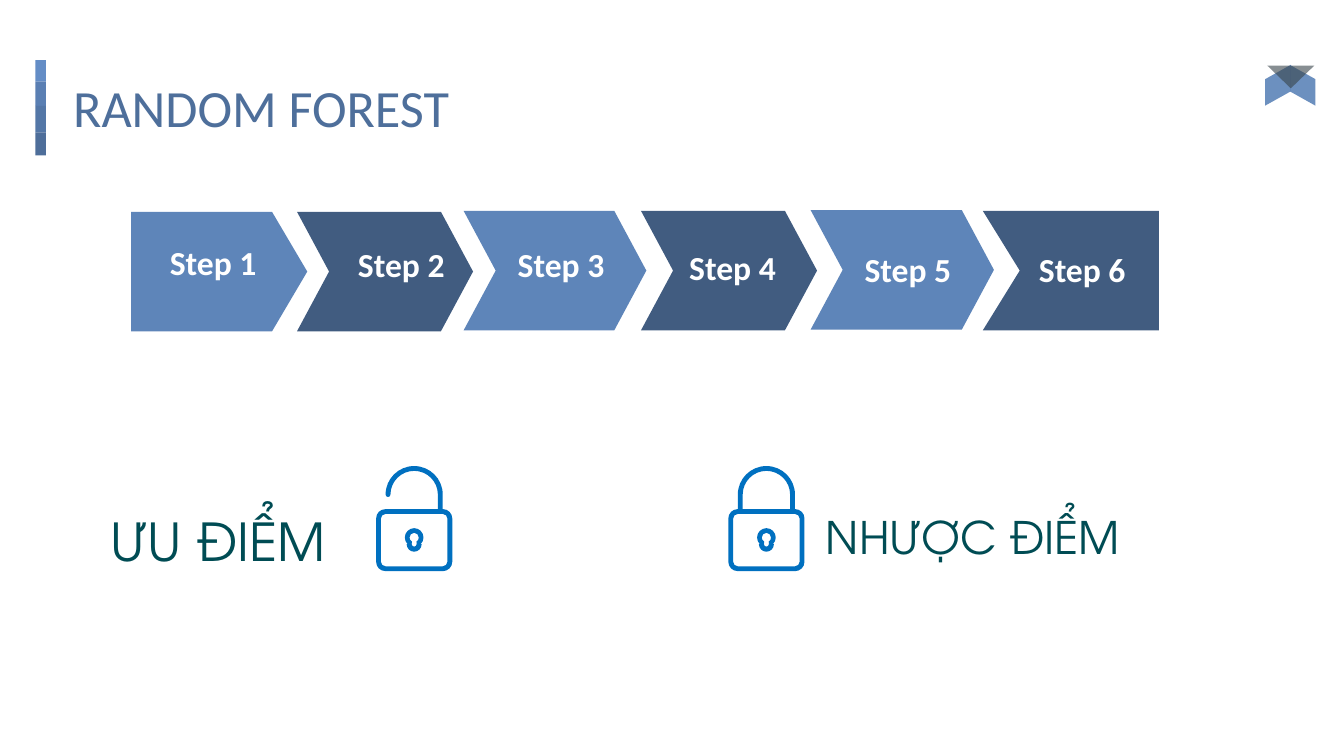
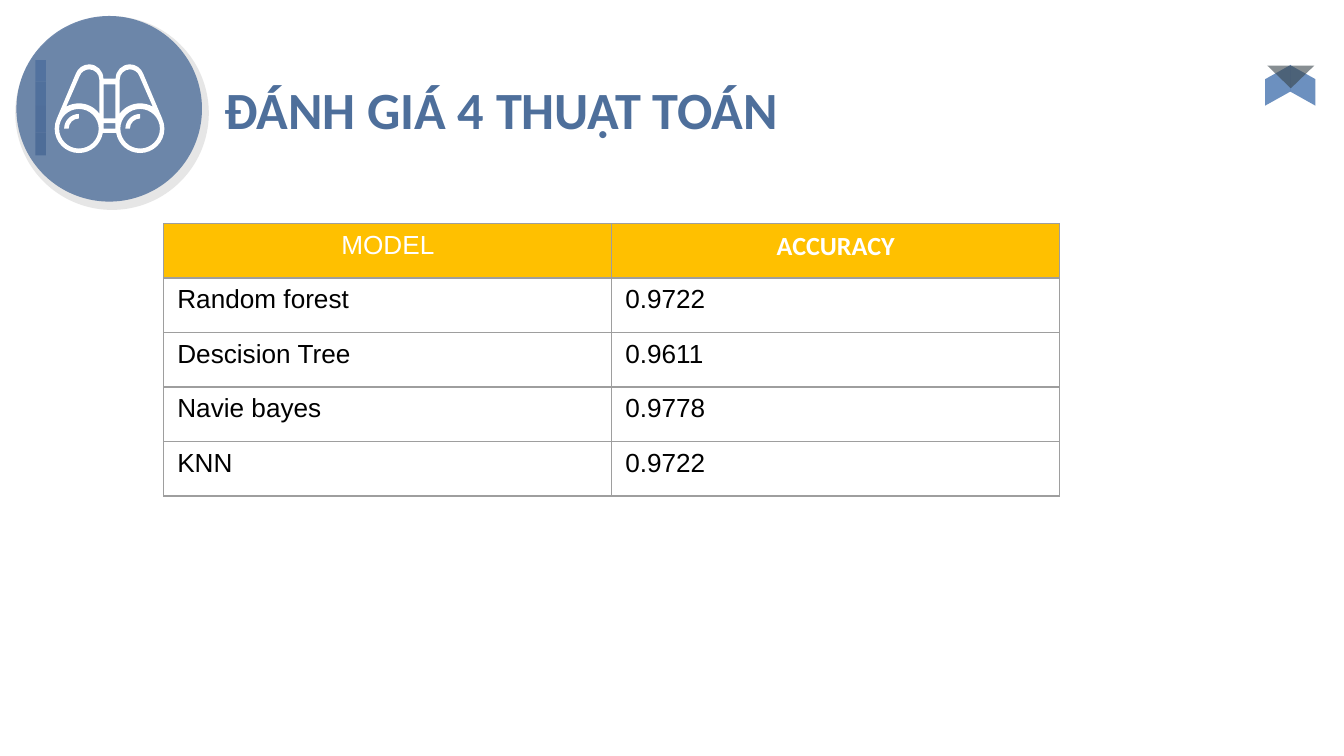
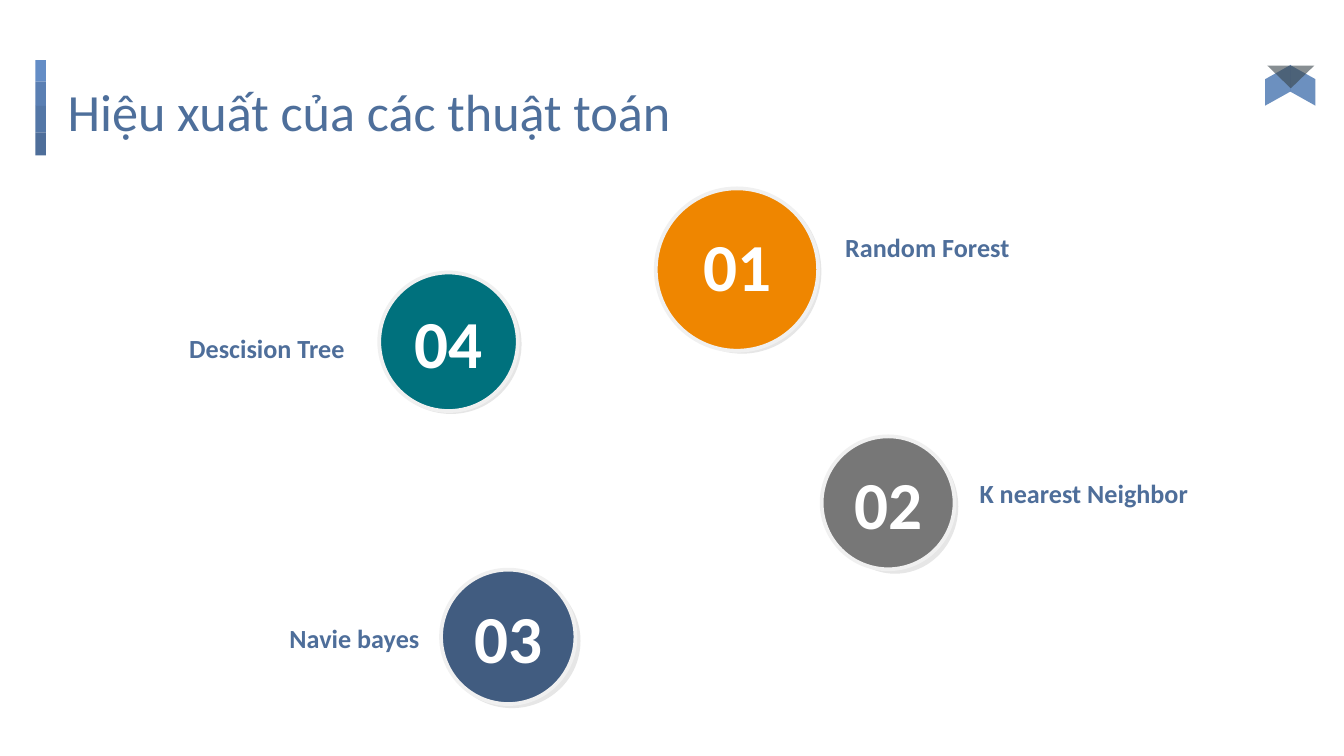
"""Build three slides on random forests and the comparison of four algorithms."""
from dataclasses import dataclass
from math import ceil, cos, floor, radians, sin, tan
from typing import Any, NamedTuple, Optional

from lxml.etree import SubElement
from pptx import Presentation
from pptx.dml.color import RGBColor
from pptx.enum.shapes import MSO_SHAPE as Kind
from pptx.enum.text import MSO_ANCHOR as Anchor, MSO_AUTO_SIZE as Fit, PP_ALIGN as Align
from pptx.oxml.ns import qn
from pptx.util import Pt

WHITE = RGBColor(0xFF, 0xFF, 0xFF)
BLACK = RGBColor(0x00, 0x00, 0x00)
TITLE_BLUE = RGBColor(0x4E, 0x6F, 0x9B)
LABEL_BLUE = RGBColor(0x4E, 0x6E, 0x9A)
STEP_BLUE = RGBColor(0x5E, 0x85, 0xB9)
NAVY = RGBColor(0x41, 0x5C, 0x80)
ICON_BLUE = RGBColor(0x00, 0x70, 0xC0)
SLATE = RGBColor(0x38, 0x44, 0x4A)
SHADE = RGBColor(0x59, 0x59, 0x59)
DARK_TEAL = RGBColor(0x00, 0x4C, 0x54)
TEAL = RGBColor(0x00, 0x71, 0x7D)
ORANGE = RGBColor(0xEF, 0x86, 0x00)
GREY = RGBColor(0x77, 0x77, 0x77)
RIM = RGBColor(0xF0, 0xF0, 0xF0)
GOLD = RGBColor(0xFF, 0xC0, 0x00)
BORDER = RGBColor(0x9E, 0x9E, 0x9E)
BAR_BLUES = (RGBColor(0x64, 0x8D, 0xC6), RGBColor(0x5A, 0x7F, 0xB3),
             RGBColor(0x54, 0x77, 0xA7), LABEL_BLUE)
BAR_LENGTHS = (11.5, 13, 14.2, 12.3)

TITLE_FONT = {"name": "Calibri", "size": Pt(28), "bold": False}
STEP_FONT = {"name": "Calibri", "size": Pt(18), "bold": True}
LABEL_FONT = {"name": "Calibri", "size": Pt(14), "bold": True}
NUMBER_FONT = {"name": "Calibri", "size": Pt(36), "bold": True}
CELL_FONT = {"name": "Arial", "size": Pt(14), "bold": False}


class Box(NamedTuple):
    """Left, top, width and height in points."""
    x: float
    y: float
    w: float
    h: float


class Arc(NamedTuple):
    """A part of a circle in clockwise degrees, or a corner if it has no radius."""
    x: float
    y: float
    r: float = 0
    start: float = 0
    end: float = 0


Point = tuple[float, float]
Contour = list[Arc]


@dataclass(frozen=True)
class Step:
    """An arrow of the process row and the place of its label."""
    name: str
    left: float
    top: float
    width: float
    label: Box
    fill: RGBColor
    notch: float = 17.2


@dataclass(frozen=True)
class Badge:
    """A numbered disc with its shade and its caption."""
    number: str
    name: str
    disc: Box
    shade: Box
    caption: Box
    align: Align
    fill: RGBColor
    lift: float = 0.3


STEP_HEIGHT = 64
STEPS = (
    Step("Step 1", 70.3, 113.5, 94.3, Box(67, 120.2, 94.3, 41), STEP_BLUE),
    Step("Step 2", 159.1, 113.5, 94.3, Box(167.8, 121, 94.3, 41), NAVY),
    Step("Step 3", 248.4, 113, 97.9, Box(253.4, 121, 94.3, 41), STEP_BLUE),
    Step("Step 4", 343.4, 113, 94.3, Box(345.3, 122.4, 94.3, 41), NAVY),
    Step("Step 5", 434.3, 112.6, 98.2, Box(439.2, 123.8, 94.3, 41), STEP_BLUE),
    Step("Step 6", 526.5, 113, 94.3, Box(540.2, 131, 79.2, 26), NAVY, 19.8),
)
BADGES = (
    Badge("01", "Random Forest", Box(351.3, 100.9, 87, 87), Box(355, 101.5, 85, 88),
          Box(445.7, 116.6, 129, 27.4), Align.LEFT, ORANGE, 2.5),
    Badge("02", "K nearest Neighbor", Box(440.2, 233.8, 71.2, 71.2),
          Box(445.7, 235.4, 67.7, 72), Box(517.7, 248.4, 161.3, 27.4), Align.LEFT, GREY),
    Badge("03", "Navie bayes", Box(236.3, 305.2, 72, 72), Box(237.6, 307.4, 73.4, 72),
          Box(94.3, 326.2, 137.5, 27.4), Align.RIGHT, NAVY),
    Badge("04", "Descision Tree", Box(203.2, 146, 74.2, 74.2), Box(203.8, 146.9, 75.6, 74.9),
          Box(54.2, 170.9, 137.5, 27.4), Align.RIGHT, TEAL),
)
ROWS = (("MODEL", "ACCURACY"), ("Random forest", "0.9722"), ("Descision Tree", "0.9611"),
        ("Navie bayes", "0.9778"), ("KNN", "0.9722"))


def apply(target: Any, values: dict[str, Any]) -> None:
    """Set each attribute named in the format values."""
    for name, value in values.items():
        setattr(target, name, value)


def pts(values: tuple[float, ...]) -> list[Pt]:
    """Turn numbers into point lengths."""
    return [Pt(v) for v in values]


def write(tf: Any, text: str, font: dict[str, Any], color: RGBColor,
          align: Align = Align.LEFT) -> None:
    """Fill a text frame with one formatted run."""
    p = tf.paragraphs[0]
    p.alignment = align
    r = p.add_run()
    r.text = text
    apply(r.font, font)
    r.font.color.rgb = color


def paint(sp: Any, color: RGBColor, opacity: Optional[int] = None) -> Any:
    """Give a shape a flat fill with no line or shadow."""
    sp.shadow.inherit = False
    sp.line.fill.background()
    sp.fill.solid()
    sp.fill.fore_color.rgb = color
    if opacity is not None:
        clr = sp._element.spPr.find(qn("a:solidFill"))[0]
        SubElement(clr, qn("a:alpha"), val=str(opacity * 1000))
    return sp


def add_flat(slide: Any, kind: Kind, box: Box, color: RGBColor,
             opacity: Optional[int] = None, rotation: float = 0) -> Any:
    """Add a flat preset shape."""
    sp = slide.shapes.add_shape(kind, *pts(box))
    sp.rotation = rotation
    return paint(sp, color, opacity)


def segments(arc: Arc) -> list[list[Point]]:
    """Turn an arc into its first point and a cubic curve for each quarter."""
    x, y, r, start, end = arc
    low, high = sorted((start, end))
    quarters = [90 * i for i in range(floor(low / 90) + 1, ceil(high / 90))]
    stops = [low, *quarters, high] if start < end else [high, *quarters[::-1], low]
    angles = [radians(s) for s in stops]
    result = [[(x + r * cos(angles[0]), y + r * sin(angles[0]))]]
    for a, b in zip(angles, angles[1:] if r else []):
        k = 4 / 3 * tan((b - a) / 4)
        result.append([(x + r * (cos(a) - k * sin(a)), y + r * (sin(a) + k * cos(a))),
                       (x + r * (cos(b) + k * sin(b)), y + r * (sin(b) - k * cos(b))),
                       (x + r * cos(b), y + r * sin(b))])
    return result


def add_outline(slide: Any, contours: list[Contour], color: RGBColor) -> None:
    """Add one filled freeform whose inner contours are holes."""
    builder, drawn = None, []
    for contour in contours:
        first, *rest = [segment for arc in contour for segment in segments(arc)]
        if builder is None:
            builder = slide.shapes.build_freeform(*pts(first[0]))
        else:
            builder.move_to(*pts(first[0]))
        builder.add_line_segments([tuple(pts(pt)) for seg in rest for pt in seg], close=True)
        drawn += rest
    sp = paint(builder.convert_to_shape(), color)
    lines = iter(list(sp._element.iter(qn("a:lnTo"))))
    for segment in drawn:
        line, *others = [next(lines) for _ in segment]
        if others:
            line.tag = qn("a:cubicBezTo")
        for other in others:
            line.append(other[0])
            other.getparent().remove(other)


def add_label(slide: Any, text: str, box: Box, font: dict[str, Any], color: RGBColor,
              align: Align = Align.LEFT, anchor: Anchor = Anchor.TOP,
              inset: float = 7.2) -> None:
    """Add a wrapped text box."""
    tf = slide.shapes.add_textbox(*pts(box)).text_frame
    apply(tf, {"word_wrap": True, "vertical_anchor": anchor,
               "margin_top": Pt(inset), "margin_bottom": Pt(inset)})
    write(tf, text, font, color, align)


def band(x: float, y: float, outer: float, inner: float, start: float, end: float) -> Contour:
    """Outline a part of a ring."""
    return [Arc(x, y, outer, start, end), Arc(x, y, inner, end, start)]


def rectangle(box: Box) -> Contour:
    """Outline a rectangle."""
    x, y, w, h = box
    return [Arc(x, y), Arc(x + w, y), Arc(x + w, y + h), Arc(x, y + h)]


def rounded(box: Box, r: float) -> Contour:
    """Outline a rectangle with round corners."""
    corners = rectangle(Box(box.x + r, box.y + r, box.w - 2 * r, box.h - 2 * r))
    return [Arc(c.x, c.y, r, 180 + 90 * i, 270 + 90 * i) for i, c in enumerate(corners)]


def keyhole(x: float, y: float, top: float, bottom: float, start: float) -> Contour:
    """Outline a keyhole from two arcs."""
    return [Arc(x, y, top, start, 540 - start), Arc(x, y + 3.6, bottom, 0, 180)]


def mirror(contour: Contour, axis: float) -> Contour:
    """Reflect a contour in an upright axis."""
    return [Arc(2 * axis - a.x, a.y, a.r, 180 - a.end, 180 - a.start)
            for a in reversed(contour)]


def add_lock(slide: Any, left: float, is_open: bool) -> None:
    """Draw a padlock icon."""
    top, width, outer, inner = 249.8, 40.8, 15.3, 12.7
    cx, hinge, rim = left + width / 2, top + 15.2, top + 23
    shackle = [Arc(cx, hinge, outer, 180, 360), Arc(cx + outer, rim),
               Arc(cx + inner, rim), Arc(cx, hinge, inner, 360, 180)]
    if is_open:
        shackle.append(Arc(cx - (outer + inner) / 2, hinge, (outer - inner) / 2, 0, 180))
    else:
        shackle += [Arc(cx - inner, rim), Arc(cx - outer, rim)]
    add_outline(slide, [
        shackle,
        rounded(Box(left, rim, width, 33.2), 5),
        rounded(Box(left + 2.6, rim + 2.6, width - 5.2, 28), 2.4),
        keyhole(cx, top + 38.2, 5, 4, 135),
        keyhole(cx, top + 38.2, 2.5, 1.3, 120),
    ], ICON_BLUE)


def add_binoculars(slide: Any) -> None:
    """Draw the binoculars icon from a left half and its mirror image."""
    axis, cx, cy = 58.7, 42.3, 69
    half = [Arc(47.8, 42.1, 7.6, 360, 200), Arc(cx, cy, 13, 205, 10)]
    lens = [Arc(cx, cy, 10.6, 0, 360)]
    tube = [Arc(cx, cy, 13.6, 324, 240), Arc(47.8, 42.6, 5.4, 200, 360)]
    glints = [band(x, cy, 7.9, 5.5, 180, 270) for x in (cx, 2 * axis - cx)]
    bridges = [rectangle(Box(axis - 3.1, y, 6.2, h)) for y, h in ((45.2, 18.2), (66, 3))]
    add_outline(slide, [half + mirror(half, axis), lens, mirror(lens, axis),
                        tube, mirror(tube, axis), *glints, *bridges], WHITE)


def add_flag(slide: Any) -> None:
    """Draw the folded ribbon in the top right corner."""
    for x, flipped in ((687, False), (673.7, True)):
        sp = add_flat(slide, Kind.PARALLELOGRAM, Box(x, 38.9, 21.8, 13.6), STEP_BLUE, 91, 90)
        sp.adjustments[0] = 0.56
        if flipped:
            sp._element.spPr.find(qn("a:xfrm")).set("flipH", "1")
    add_flat(slide, Kind.ISOSCELES_TRIANGLE, Box(678.9, 35.1, 25.2, 12.2), SLATE, 60, 180)


def add_accent_bar(slide: Any) -> None:
    """Put the bar beside the title on the layout that the slides share."""
    y, width = 32.2, 5.6
    for length, color in zip(BAR_LENGTHS, BAR_BLUES):
        box = Box(21.8 - length / 2, y + (length - width) / 2, length, width)
        sp = add_flat(slide, Kind.RECTANGLE, box, color, rotation=270)
        slide.slide_layout.shapes._spTree.append(sp._element)
        y += length


def add_titled_slide(prs: Any, text: str, left: float, top: float, bold: bool = False) -> Any:
    """Add a slide with its title and corner ribbon."""
    slide = prs.slides.add_slide(prs.slide_layouts[5])
    title = slide.shapes.title
    apply(title, dict(zip(("left", "top", "width", "height"), pts((left, top, 666, 45.4)))))
    tf = title.text_frame
    apply(tf, {"word_wrap": True, "auto_size": Fit.NONE, "vertical_anchor": Anchor.TOP})
    apply(tf, {f"margin_{side}": Pt(7.2) for side in ("left", "right", "top", "bottom")})
    write(tf, text, TITLE_FONT | {"bold": bold}, TITLE_BLUE)
    add_flag(slide)
    return slide


def add_step(slide: Any, step: Step, is_first: bool, is_last: bool) -> None:
    """Draw one arrow of the process row with its label."""
    left, top, right = step.left, step.top, step.left + step.width
    middle, bottom, neck = top + STEP_HEIGHT / 2, top + STEP_HEIGHT, right - step.notch
    if is_first:
        shift = (step.width - STEP_HEIGHT) / 2
        box = Box(left + shift, top - shift, STEP_HEIGHT, step.width)
        add_flat(slide, Kind.FLOWCHART_OFFPAGE_CONNECTOR, box, step.fill, rotation=270)
    else:
        end = [Arc(right, top), Arc(right, bottom)] if is_last else [
            Arc(neck, top), Arc(right, middle), Arc(neck, bottom)]
        add_outline(slide, [[Arc(left, top), *end, Arc(left, bottom),
                             Arc(left + step.notch, middle)]], step.fill)
    add_label(slide, step.name, step.label, STEP_FONT, WHITE, Align.CENTER, Anchor.MIDDLE)


def add_badge(slide: Any, badge: Badge) -> None:
    """Draw a numbered disc and its caption."""
    add_flat(slide, Kind.OVAL, badge.shade, SHADE, 15)
    sp = add_flat(slide, Kind.OVAL, badge.disc, badge.fill)
    sp.line.color.rgb = RIM
    sp.line.width = Pt(2)
    x, y, w, h = badge.disc
    number = Box(x + w / 2 - 31.5, y + h / 2 - 22.7 - badge.lift, 63.4, 45.4)
    add_label(slide, badge.number, number, NUMBER_FONT, WHITE, Align.CENTER, Anchor.MIDDLE)
    add_label(slide, badge.name, badge.caption, LABEL_FONT, LABEL_BLUE, badge.align)


def add_borders(cell: Any) -> None:
    """Put a thin line on each side of a cell, ahead of its fill."""
    tc_pr = cell._tc.get_or_add_tcPr()
    for i, side in enumerate(("lnL", "lnR", "lnT", "lnB")):
        ln = SubElement(tc_pr, qn(f"a:{side}"), w=str(Pt(0.75)))
        SubElement(SubElement(ln, qn("a:solidFill")), qn("a:srgbClr"), val=str(BORDER))
        tc_pr.insert(i, ln)


def add_accuracy_table(slide: Any) -> None:
    """Add the table of models and accuracies."""
    table = slide.shapes.add_table(len(ROWS), 2, *pts((87.8, 119.8, 480, 146))).table
    apply(table, {"first_row": False, "horz_banding": False})
    for i, row in enumerate(ROWS):
        table.rows[i].height = Pt(29.2)
        for j, text in enumerate(row):
            cell = table.cell(i, j)
            if i:
                cell.fill.background()
                write(cell.text_frame, text, CELL_FONT, BLACK)
            else:
                cell.fill.solid()
                cell.fill.fore_color.rgb = GOLD
                font = LABEL_FONT if j else CELL_FONT
                write(cell.text_frame, text, font, WHITE, Align.CENTER)
            add_borders(cell)


def build_forest(prs: Any) -> None:
    """Build the slide of steps, strengths and weaknesses."""
    slide = add_titled_slide(prs, "RANDOM FOREST", 32, 33.1)
    add_accent_bar(slide)
    for i, step in enumerate(STEPS):
        add_step(slide, step, i == 0, i == len(STEPS) - 1)
    add_lock(slide, 201.5, True)
    add_lock(slide, 390.2, False)
    for text, box, size in (("ƯU ĐIỂM", Box(52.2, 269.3, 154, 41), 28),
                            ("NHƯỢC ĐIỂM", Box(435.4, 269.3, 193.7, 36), 24)):
        add_label(slide, text, box, {"name": "TeX Gyre Adventor", "size": Pt(size)},
                  DARK_TEAL, inset=3.6)


def build_evaluation(prs: Any) -> None:
    """Build the slide with the accuracy table."""
    slide = add_titled_slide(prs, "ĐÁNH GIÁ 4 THUẬT TOÁN", 113, 34.2, True)
    add_flat(slide, Kind.OVAL, Box(8.2, 8.8, 103.7, 103.7), SHADE, 15)
    add_flat(slide, Kind.OVAL, Box(8.8, 8.6, 99.4, 99.4), LABEL_BLUE, 80)
    add_binoculars(slide)
    add_accuracy_table(slide)


def build_performance(prs: Any) -> None:
    """Build the slide with the numbered algorithms."""
    slide = add_titled_slide(prs, "Hiệu xuất của các thuật toán", 29, 35.3)
    for badge in BADGES:
        add_badge(slide, badge)


def main() -> None:
    """Build and save the presentation."""
    prs = Presentation()
    apply(prs, {"slide_width": Pt(720), "slide_height": Pt(405)})
    for build in (build_forest, build_evaluation, build_performance):
        build(prs)
    prs.save("out.pptx")


if __name__ == "__main__":
    main()
